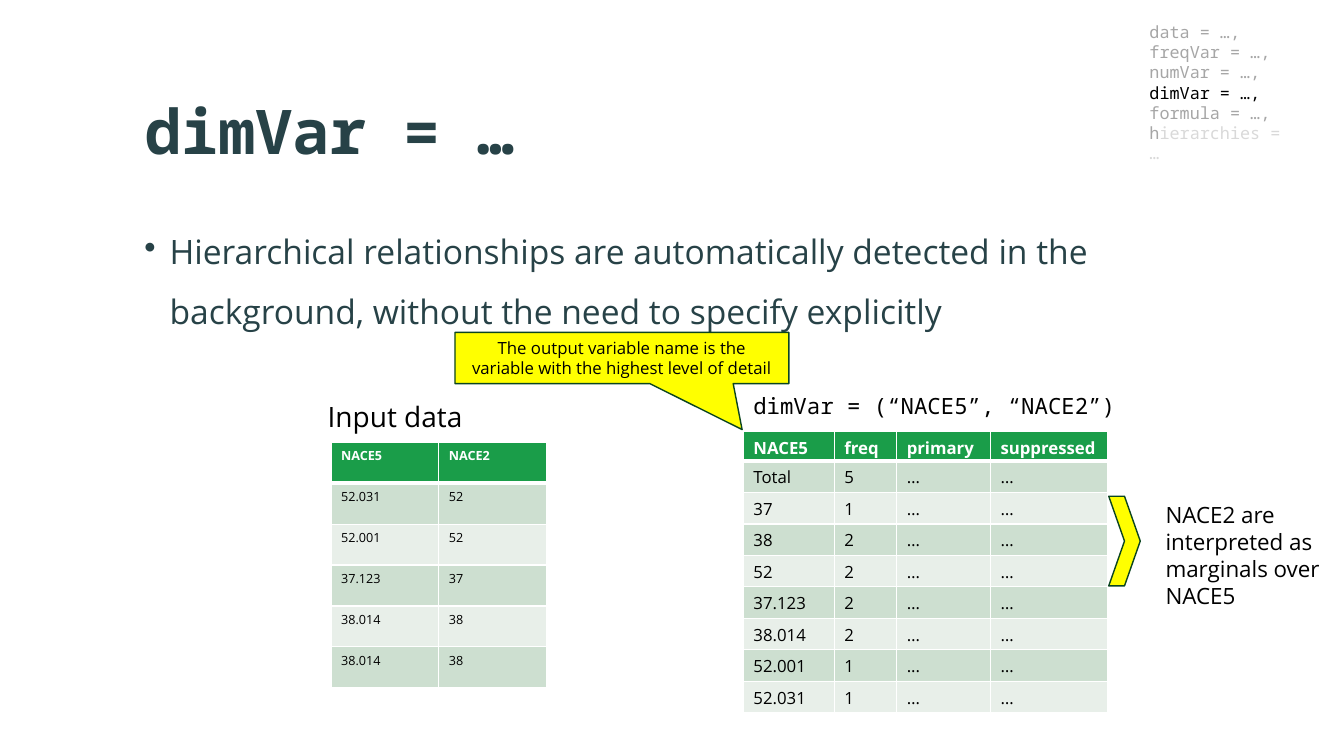
import dataclasses

import lxml.etree
import pptx
import pptx.dml.color
import pptx.enum.shapes
import pptx.enum.text
import pptx.oxml
import pptx.oxml.ns
import pptx.util

Pt = pptx.util.Pt
SHAPES = pptx.enum.shapes.MSO_SHAPE
ANCHOR = pptx.enum.text.MSO_ANCHOR
ALIGN = pptx.enum.text.PP_ALIGN


@dataclasses.dataclass(frozen=True)
class Theme:
    sans: str = "Open Sans"
    mono: str = "Noto Sans Mono"
    heading: str = "274247"
    text: str = "000000"
    white: str = "FFFFFF"
    muted: str = "A6A6A6"
    faint: str = "D9D9D9"
    header_fill: str = "1A9D49"
    bands: tuple = ("CDDFD0", "E8EFE9")
    marker: str = "FFFF00"
    outline: str = "0B4520"
    title_size: int = 44
    body_size: int = 24
    caption_size: int = 20
    note_size: int = 16
    small_size: int = 12
    tiny_size: int = 9


THEME = Theme()


def rgb(color):
    return pptx.dml.color.RGBColor.from_string(color)


def apply(target, formats):
    for name, value in formats.items():
        setattr(target, name, value)


def add_run(paragraph, text, size, color=THEME.text, font=THEME.sans, bold=False):
    run = paragraph.add_run()
    run.text = text
    apply(run.font, {"name": font, "size": Pt(size), "bold": bold})
    run.font.color.rgb = rgb(color)


def add_text_box(slide, box):
    frame = slide.shapes.add_textbox(*map(Pt, box)).text_frame
    frame.word_wrap = True
    return frame


def add_label(slide, box, text, size, font=THEME.sans):
    add_run(add_text_box(slide, box).paragraphs[0], text, size, font=font)


def add_marker(slide, kind, box):
    shape = slide.shapes.add_shape(kind, *map(Pt, box))
    shape.shadow.inherit = False
    shape.fill.solid()
    shape.fill.fore_color.rgb = rgb(THEME.marker)
    shape.line.color.rgb = rgb(THEME.outline)
    shape.line.width = Pt(1)
    return shape


def add_title(slide, box, text):
    title = slide.shapes.title
    apply(title, dict(zip(("left", "top", "width", "height"), map(Pt, box))))
    apply(title.text_frame, {"vertical_anchor": ANCHOR.MIDDLE, "margin_top": 0,
                             "word_wrap": True})
    paragraph = title.text_frame.paragraphs[0]
    paragraph.alignment = ALIGN.LEFT
    add_run(paragraph, text, THEME.title_size, THEME.heading, THEME.mono, True)


def add_body(slide, box, text):
    paragraph = add_text_box(slide, box).paragraphs[0]
    apply(paragraph, {"line_spacing": 1.5, "space_after": Pt(9)})
    add_run(paragraph, text, THEME.body_size, THEME.heading)
    # Bullet with a hanging indent
    properties = paragraph._p.get_or_add_pPr()
    properties.set("marL", str(Pt(18)))
    properties.set("indent", str(Pt(-18)))
    bullet = lxml.etree.SubElement(properties, pptx.oxml.ns.qn("a:buChar"))
    bullet.set("char", "•")


def add_borders(cell, bottom):
    properties = cell._tc.get_or_add_tcPr()
    for side, width in (("L", 1), ("R", 1), ("T", 1), ("B", bottom)):
        properties.append(pptx.oxml.parse_xml(
            f'<a:ln{side} {pptx.oxml.ns.nsdecls("a")} w="{Pt(width)}"><a:solidFill>'
            f'<a:srgbClr val="{THEME.white}"/></a:solidFill></a:ln{side}>'))


def add_data_table(slide, left, top, widths, heights, rows, size):
    box = (left, top, sum(widths), sum(heights))
    table = slide.shapes.add_table(len(rows), len(widths), *map(Pt, box)).table
    for column, width in zip(table.columns, widths):
        column.width = Pt(width)
    for index, (row, height, values) in enumerate(zip(table.rows, heights, rows)):
        row.height = Pt(height)
        header = index == 0
        fill = THEME.header_fill if header else THEME.bands[(index - 1) % 2]
        for cell, value in zip(row.cells, values):
            add_borders(cell, 3 if header else 1)
            cell.fill.solid()
            cell.fill.fore_color.rgb = rgb(fill)
            cell.margin_bottom = 0
            add_run(cell.text_frame.paragraphs[0], value, size,
                    THEME.white if header else THEME.text, bold=header)


def add_input_region(slide, left, top):
    add_label(slide, (left, top, 174, 32), "Input data", THEME.caption_size)
    rows = [("NACE5", "NACE2"), ("52.031", "52"), ("52.001", "52"),
            ("37.123", "37"), ("38.014", "38"), ("38.014", "38")]
    add_data_table(slide, left + 9.5, top + 34, [77] * 2, [29.2] * len(rows),
                   rows, THEME.tiny_size)


def add_output_region(slide, left, top):
    counts = {"Total": 5, "37": 1, "38": 2, "52": 2, "37.123": 2, "38.014": 2,
              "52.001": 1, "52.031": 1}
    rows = [("NACE5", "freq", "primary", "suppressed")]
    for code, count in counts.items():
        primary = "..." if code == "52.001" else "…"
        rows.append((code, str(count), primary, "…"))
    add_data_table(slide, left, top + 32, [65, 44.5, 67, 83.5],
                   [20.8] + [22.5] * len(counts), rows, THEME.small_size)

    # Callout pointing at the first header cell
    callout = add_marker(slide, SHAPES.RECTANGULAR_CALLOUT,
                         (left - 206, top - 39, 238.5, 36.5))
    callout.adjustments[0], callout.adjustments[1] = 0.36, 1.4
    apply(callout.text_frame, {"word_wrap": True, "vertical_anchor": ANCHOR.MIDDLE})
    paragraph = callout.text_frame.paragraphs[0]
    paragraph.alignment = ALIGN.CENTER
    add_run(paragraph, "The output variable name is the variable with the "
            "highest level of detail", THEME.small_size)

    add_label(slide, (left, top, 302, 46), "dimVar = (“NACE5”, “NACE2”)",
              THEME.note_size, THEME.mono)

    # Chevron and note on the marginal rows
    add_marker(slide, SHAPES.CHEVRON, (left + 261, top + 78, 22.5, 64))
    add_label(slide, (left + 294.5, top + 78, 124.5, 85),
              "NACE2 are interpreted as marginals over NACE5", THEME.note_size)


def add_argument_list(slide, box):
    frame = add_text_box(slide, box)
    arguments = [[(f"{name} = …,", THEME.text if name == "dimVar" else THEME.muted)]
                 for name in ("data", "freqVar", "numVar", "dimVar", "formula")]
    arguments.append([("h", THEME.muted), ("ierarchies = …", THEME.faint)])
    for index, runs in enumerate(arguments):
        paragraph = frame.add_paragraph() if index else frame.paragraphs[0]
        for text, color in runs:
            add_run(paragraph, text, THEME.small_size, color, THEME.mono)


def main():
    presentation = pptx.Presentation()
    apply(presentation, {"slide_width": Pt(960), "slide_height": Pt(540)})
    slide = presentation.slides.add_slide(presentation.slide_layouts[5])
    add_title(slide, (96, 43, 760, 103), "dimVar = …")
    add_body(slide, (96, 147, 788, 313),
             "Hierarchical relationships are automatically detected in the "
             "background, without the need to specify explicitly")
    add_input_region(slide, 227, 282)
    add_output_region(slide, 531, 276.5)
    add_argument_list(slide, (814, 12, 111, 109))
    presentation.save("out.pptx")


if __name__ == "__main__":
    main()
